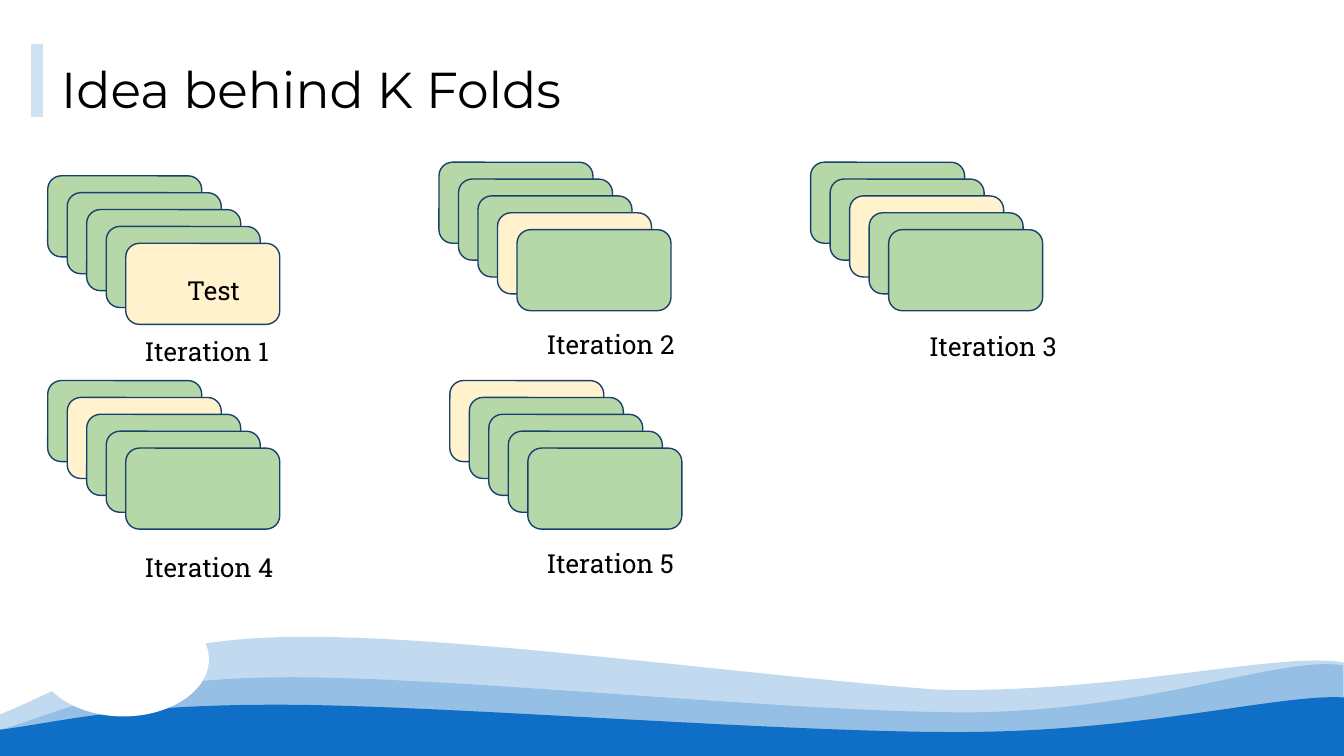
from dataclasses import dataclass

from lxml.etree import SubElement
from pptx import Presentation
from pptx.dml.color import RGBColor
from pptx.enum.shapes import MSO_CONNECTOR as Connector, MSO_SHAPE as Preset
from pptx.enum.text import MSO_ANCHOR as Anchor, PP_ALIGN as Align
from pptx.oxml.ns import qn
from pptx.util import Pt

Point = tuple[float, float]

COLORS = {
    "text": "000000", "train": "B6D7A8", "test": "FFF2CC", "outline": "17406D",
    "accent": "CFE2F3", "wave": "0F6FC6", "paper": "FFFFFF",
}
SLIDE_W, SLIDE_H = 720, 405
CARD_W, CARD_H = 82.5, 43.4
STEP_X, STEP_Y = 10.45, 9.04
FOLDS = 5


@dataclass(frozen=True)
class Wave:
    """Each curve holds two control points and an end point."""
    start: Point
    curves: tuple[tuple[Point, Point, Point], ...]
    opacity: int


@dataclass(frozen=True)
class Iteration:
    number: int
    stack: Point
    label: Point
    label_width: float

    @property
    def test_fold(self) -> int:
        return FOLDS - self.number


WAVES = (
    Wave((-0.7, 383), (
        ((33.1, 370.1), (67.7, 343.4), (151.2, 341.3)),
        ((234.7, 339.1), (383.8, 360), (500.4, 369.4)),
        ((595.4, 372.2), (686.9, 348.5), (720, 355))), 25),
    Wave((0, 391), (
        ((33.8, 381.6), (59.8, 364.3), (146.9, 362.9)),
        ((234, 361.4), (427.7, 382.3), (522.7, 381.6)),
        ((618.5, 380.2), (685.4, 351.4), (719.3, 356.4))), 25),
    Wave((0, 391), (
        ((33.8, 386.6), (65.5, 377.3), (151.9, 377.6)),
        ((238.3, 377.8), (424.8, 393), (519.1, 392.2)),
        ((614.2, 391.5), (686.9, 371.5), (720, 373.7))), 100),
)
ITERATIONS = (
    Iteration(1, (25.6, 94.2), (70.4, 173.9), 103.7),
    Iteration(2, (235.2, 86.9), (285.8, 169.9), 96.5),
    Iteration(3, (434.3, 86.9), (490.6, 171), 92.9),
    Iteration(4, (25.6, 203.9), (70.4, 289.5), 103.7),
    Iteration(5, (241, 203.9), (285.8, 287.4), 103.7),
)


def rgb(name: str) -> RGBColor:
    return RGBColor.from_string(COLORS[name])


def paint(shape, fill: str, outline: str | None = None) -> None:
    shape.shadow.inherit = False
    shape.fill.solid()
    shape.fill.fore_color.rgb = rgb(fill)
    if outline:
        shape.line.color.rgb = rgb(outline)
        shape.line.width = Pt(0.75)
    else:
        shape.line.fill.background()


def write(shape, text: str, font: str, size: float) -> None:
    frame = shape.text_frame
    frame.text = text
    frame.word_wrap = True
    frame.vertical_anchor = Anchor.TOP
    frame.margin_left = frame.margin_right = Pt(7.2)
    frame.margin_top = frame.margin_bottom = Pt(7.2)
    paragraph = frame.paragraphs[0]
    paragraph.alignment = Align.LEFT
    run_font = paragraph.runs[0].font
    run_font.name, run_font.size = font, Pt(size)
    run_font.color.rgb = rgb("text")


def bend(shape, curves: tuple[tuple[Point, Point, Point], ...]) -> None:
    """Turn the first straight segments of a freeform into cubic curves."""
    segments = list(shape._element.iter(qn("a:lnTo")))
    for segment, curve in zip(segments, curves):
        segment.tag = qn("a:cubicBezTo")
        segment.remove(segment[0])
        for x, y in curve:
            point = SubElement(segment, qn("a:pt"))
            point.set("x", str(Pt(x) - shape.left))
            point.set("y", str(Pt(y) - shape.top))


def draw_wave(slide, wave: Wave) -> None:
    corners = [curve[-1] for curve in wave.curves] + [(SLIDE_W, SLIDE_H), (0, SLIDE_H)]
    builder = slide.shapes.build_freeform(Pt(wave.start[0]), Pt(wave.start[1]))
    builder.add_line_segments([(Pt(x), Pt(y)) for x, y in corners], close=True)
    shape = builder.convert_to_shape()
    bend(shape, wave.curves)
    paint(shape, "wave")
    if wave.opacity < 100:
        color = shape._element.spPr.find(qn("a:solidFill"))[0]
        SubElement(color, qn("a:alpha")).set("val", str(wave.opacity * 1000))


def draw_title(slide, text: str) -> None:
    title = slide.shapes.title
    title.left, title.top, title.width, title.height = Pt(25.6), Pt(23.8), Pt(675.4), Pt(45.4)
    write(title, text, "Montserrat", 27)
    slide.shapes._spTree.append(title._element)  # in front of the waves
    accent = slide.shapes.add_connector(
        Connector.STRAIGHT, Pt(19.8), Pt(23.6), Pt(19.8), Pt(62.6))
    accent.line.color.rgb = rgb("accent")
    accent.line.width = Pt(6)
    SubElement(accent._element.spPr, qn("a:effectLst"))


def draw_stack(slide, iteration: Iteration) -> None:
    left, top = iteration.stack
    for fold in range(FOLDS):
        card = slide.shapes.add_shape(
            Preset.ROUNDED_RECTANGLE, Pt(left + fold * STEP_X),
            Pt(top + fold * STEP_Y), Pt(CARD_W), Pt(CARD_H))
        card.adjustments[0] = 0.167
        paint(card, "test" if fold == iteration.test_fold else "train", "outline")


def draw_label(slide, text: str, at: Point, width: float, height: float) -> None:
    label = slide.shapes.add_textbox(Pt(at[0]), Pt(at[1]), Pt(width), Pt(height))
    write(label, text, "Roboto Slab", 14)


def main() -> None:
    deck = Presentation()
    deck.slide_width, deck.slide_height = Pt(SLIDE_W), Pt(SLIDE_H)
    slide = deck.slides.add_slide(deck.slide_layouts[5])

    for wave in WAVES:
        draw_wave(slide, wave)
    cutout = slide.shapes.add_shape(Preset.OVAL, Pt(20.2), Pt(322.6), Pt(91.7), Pt(61.2))
    paint(cutout, "paper")

    draw_title(slide, "Idea behind K Folds")
    for iteration in ITERATIONS:
        draw_stack(slide, iteration)
    for iteration in ITERATIONS:
        draw_label(slide, f"Iteration {iteration.number}",
                   iteration.label, iteration.label_width, 13)
    draw_label(slide, "Test", (93.2, 139.7), 54, 15.1)

    deck.save("out.pptx")


if __name__ == "__main__":
    main()
